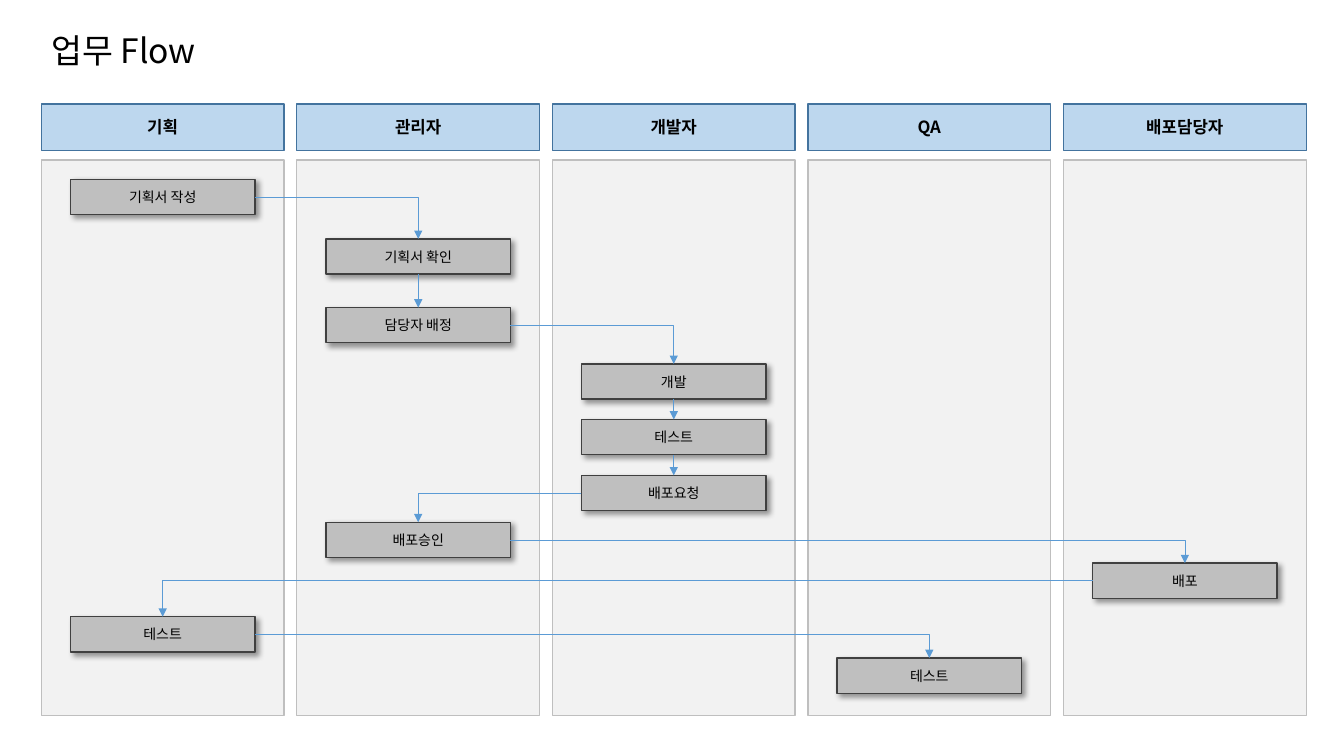
from dataclasses import dataclass
from itertools import pairwise

from lxml.etree import SubElement
from pptx import Presentation
from pptx.dml.color import RGBColor
from pptx.enum.shapes import MSO_CONNECTOR, MSO_SHAPE
from pptx.enum.text import MSO_ANCHOR, MSO_AUTO_SIZE, PP_ALIGN
from pptx.oxml.ns import qn
from pptx.util import Cm, Pt


@dataclass(frozen=True)
class Theme:
    font: str = "Noto Sans CJK KR"
    text: str = "000000"
    header_fill: str = "BDD7EE"
    header_line: str = "43739E"
    lane_fill: str = "F2F2F2"
    lane_line: str = "BFBFBF"
    step_fill: str = "BFBFBF"
    step_line: str = "404040"
    arrow: str = "5B9BD5"
    title_size: int = 24
    header_size: int = 12
    step_size: int = 10
    outline: float = 1
    arrow_width: float = 0.5


ROLES = ["기획", "관리자", "개발자", "QA", "배포담당자"]
STEPS = [
    ("기획서 작성", 0, 4.52),
    ("기획서 확인", 1, 6.02),
    ("담당자 배정", 1, 7.75),
    ("개발", 2, 9.17),
    ("테스트", 2, 10.57),
    ("배포요청", 2, 11.98),
    ("배포승인", 1, 13.16),
    ("배포", 4, 14.19),
    ("테스트", 0, 15.54),
    ("테스트", 3, 16.58),
]
LANE_LEFT, LANE_PITCH, LANE_WIDTH = 1.04, 6.44, 6.12
STEP_WIDTH, STEP_HEIGHT = 4.65, 0.89
TOP, LEFT, BOTTOM, RIGHT = range(4)


def lane_x(lane):
    return LANE_LEFT + lane * LANE_PITCH


def apply_format(target, values):
    for name, value in values.items():
        setattr(target, name, value)


class FlowSlide:
    def __init__(self, slide, theme):
        self.shapes = slide.shapes
        self.theme = theme

    def label(self, frame, wording, size, bold=False, align=PP_ALIGN.CENTER):
        paragraph = frame.paragraphs[0]
        paragraph.alignment = align
        run = paragraph.add_run()
        run.text = wording
        apply_format(run.font, {"name": self.theme.font, "size": Pt(size), "bold": bold})
        run.font.color.rgb = RGBColor.from_string(self.theme.text)
        SubElement(run.font._element, qn("a:ea"), typeface=self.theme.font)

    def title(self, wording):
        frame = self.shapes.add_textbox(Cm(1.04), Cm(0.64), Cm(4.29), Cm(1.27)).text_frame
        apply_format(frame, {"word_wrap": False, "auto_size": MSO_AUTO_SIZE.SHAPE_TO_FIT_TEXT})
        self.label(frame, wording, self.theme.title_size, align=PP_ALIGN.LEFT)

    def box(self, left, top, width, height, fill, line):
        rectangle = self.shapes.add_shape(
            MSO_SHAPE.RECTANGLE, Cm(left), Cm(top), Cm(width), Cm(height)
        )
        rectangle.shadow.inherit = False
        rectangle.fill.solid()
        rectangle.fill.fore_color.rgb = RGBColor.from_string(fill)
        rectangle.line.color.rgb = RGBColor.from_string(line)
        rectangle.line.width = Pt(self.theme.outline)
        rectangle.text_frame.vertical_anchor = MSO_ANCHOR.MIDDLE
        return rectangle

    def header(self, role, lane):
        theme = self.theme
        heading = self.box(
            lane_x(lane), 2.62, LANE_WIDTH, 1.17, theme.header_fill, theme.header_line
        )
        self.label(heading.text_frame, role, theme.header_size, bold=True)

    def lane(self, lane):
        self.box(
            lane_x(lane), 4.03, LANE_WIDTH, 14, self.theme.lane_fill, self.theme.lane_line
        )

    def step(self, task, lane, top):
        theme = self.theme
        left = lane_x(lane) + (LANE_WIDTH - STEP_WIDTH) / 2
        card = self.box(left, top, STEP_WIDTH, STEP_HEIGHT, theme.step_fill, theme.step_line)
        self.label(card.text_frame, task, theme.step_size)
        self.drop_shadow(card)
        return card

    def drop_shadow(self, card):
        effects = card._element.spPr.find(qn("a:effectLst"))
        shadow = SubElement(
            effects, qn("a:outerShdw"), blurRad=str(Pt(4)), dist=str(Pt(3)),
            dir="2700000", algn="tl", rotWithShape="0",
        )
        color = SubElement(shadow, qn("a:srgbClr"), val=self.theme.text)
        SubElement(color, qn("a:alpha"), val="40000")

    def arrow(self, source, target, lane_shift):
        kind = MSO_CONNECTOR.ELBOW if lane_shift else MSO_CONNECTOR.STRAIGHT
        link = self.shapes.add_connector(kind, 0, 0, 0, 0)
        exit_side = RIGHT if lane_shift > 0 else LEFT if lane_shift else BOTTOM
        link.begin_connect(source, exit_side)
        link.end_connect(target, TOP)
        link.line.color.rgb = RGBColor.from_string(self.theme.arrow)
        link.line.width = Pt(self.theme.arrow_width)
        properties = link._element.spPr
        if lane_shift:
            properties.find(qn("a:prstGeom")).set("prst", "bentConnector2")
        SubElement(properties.find(qn("a:ln")), qn("a:tailEnd"), type="triangle")
        SubElement(properties, qn("a:effectLst"))


def main():
    deck = Presentation()
    apply_format(deck, {"slide_width": Cm(33.87), "slide_height": Cm(19.05)})
    flow = FlowSlide(deck.slides.add_slide(deck.slide_layouts[6]), Theme())
    flow.title("업무 Flow")
    for lane, role in enumerate(ROLES):
        flow.header(role, lane)
    for lane in range(len(ROLES)):
        flow.lane(lane)
    placed = [(flow.step(*entry), entry[1]) for entry in STEPS]
    for (source, source_lane), (target, target_lane) in pairwise(placed):
        flow.arrow(source, target, target_lane - source_lane)
    deck.save("out.pptx")


if __name__ == "__main__":
    main()
